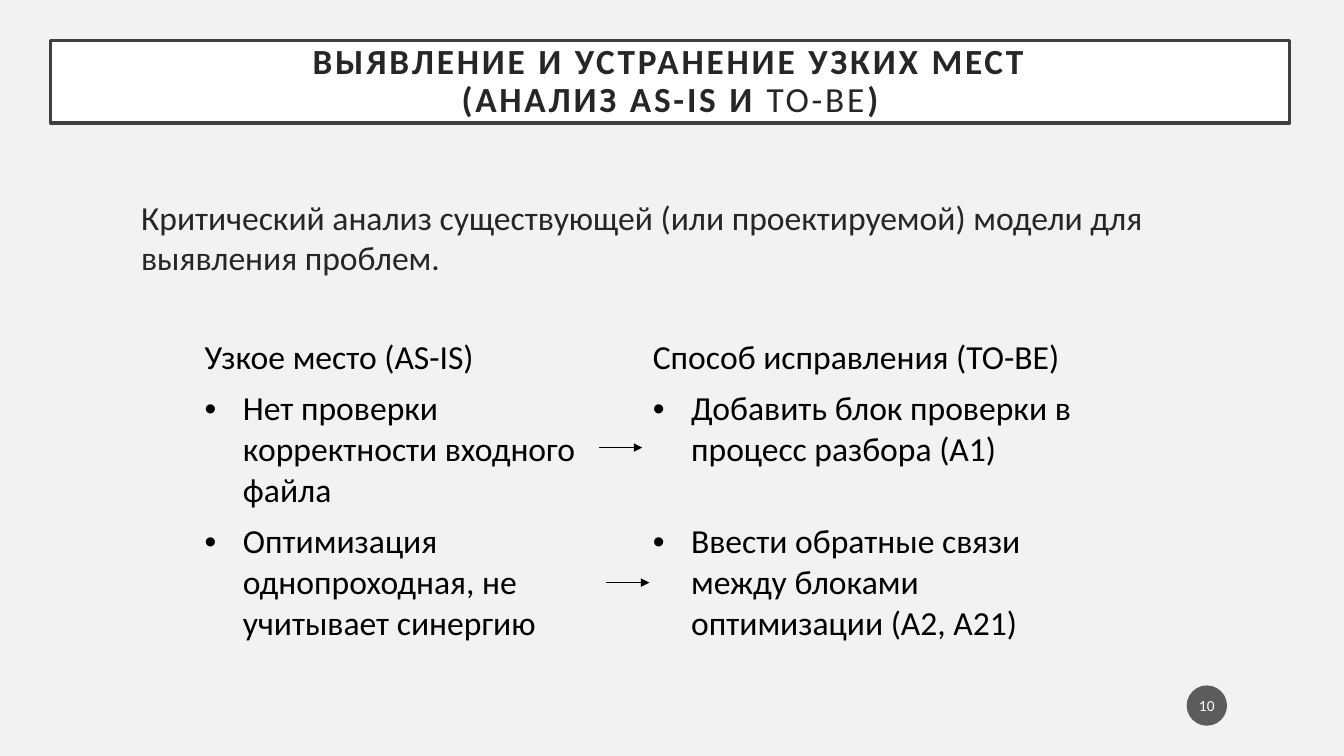
from dataclasses import dataclass

from lxml import etree
from pptx import Presentation
from pptx.dml.color import RGBColor
from pptx.enum.shapes import MSO_CONNECTOR, MSO_SHAPE
from pptx.enum.text import MSO_ANCHOR, MSO_AUTO_SIZE, PP_ALIGN
from pptx.oxml.ns import qn
from pptx.util import Inches, Pt

CENTER, LEFT = PP_ALIGN.CENTER, PP_ALIGN.LEFT
MIDDLE, TOP = MSO_ANCHOR.MIDDLE, MSO_ANCHOR.TOP
NO_AUTOFIT = MSO_AUTO_SIZE.NONE
ELLIPSE, STRAIGHT = MSO_SHAPE.OVAL, MSO_CONNECTOR.STRAIGHT

FONT = "Calibri"
COLORS = {
    "background": "F2F2F2",
    "white": "FFFFFF",
    "frame": "404040",
    "text": "262626",
    "black": "000000",
    "badge": "1D1D1D",
}
PLAIN_TABLE_STYLE = "{2D5ABB26-0587-4C30-8999-92F81FD0307C}"
BULLET_INDENT = 0.38


@dataclass(frozen=True)
class Bottleneck:
    problem: str
    remedy: str
    arrow_left: float
    arrow_top: float


BOTTLENECKS = [
    Bottleneck("Нет проверки корректности входного файла",
               "Добавить блок проверки в процесс разбора (A1)", 5.94, 4.44),
    Bottleneck("Оптимизация однопроходная, не учитывает синергию",
               "Ввести обратные связи между блоками оптимизации (A2, A21)", 6.01, 5.78),
]


def color(name: str) -> RGBColor:
    return RGBColor.from_string(COLORS[name])


def place(box, left: float, top: float, width: float, height: float) -> None:
    box.left, box.top = Inches(left), Inches(top)
    box.width, box.height = Inches(width), Inches(height)


def add_span(para, text: str, *, size: float, fill: str = "black",
             bold: bool = False, spacing: float = 0) -> None:
    """Append formatted text; spacing is the letter spacing in points."""
    span = para.add_run()
    span.text = text
    span.font.name, span.font.size, span.font.bold = FONT, Pt(size), bold
    span.font.color.rgb = color(fill)
    if spacing:
        span.font._element.set("spc", str(round(spacing * 100)))


def set_bullet(para, shown: bool) -> None:
    properties = para._p.get_or_add_pPr()
    indent = Inches(BULLET_INDENT) if shown else 0
    properties.set("marL", str(indent))
    properties.set("indent", str(-indent))
    if shown:
        etree.SubElement(properties, qn("a:buFont"), typeface="Arial")
        etree.SubElement(properties, qn("a:buChar"), char="•")
    else:
        etree.SubElement(properties, qn("a:buNone"))


def add_title(page) -> None:
    title = page.shapes.title
    place(title, 0.5, 0.4, 12.29, 0.82)
    title.fill.solid()
    title.fill.fore_color.rgb = color("white")
    title.line.color.rgb = color("frame")
    title.line.width = Pt(2.5)
    frame = title.text_frame
    frame.word_wrap, frame.auto_size = True, NO_AUTOFIT
    frame.vertical_anchor = MIDDLE
    frame.margin_left = frame.margin_right = Inches(0.2)
    frame.margin_top = frame.margin_bottom = Inches(0.2)
    para = frame.paragraphs[0]
    para.alignment, para.line_spacing = CENTER, 0.9
    style = {"size": 25.2, "fill": "text", "spacing": 2}
    add_span(para, "ВЫЯВЛЕНИЕ И УСТРАНЕНИЕ УЗКИХ МЕСТ", bold=True, **style)
    para.add_line_break()
    add_span(para, "(АНАЛИЗ AS-IS И", bold=True, **style)
    add_span(para, " TO-BE", **style)
    add_span(para, ")", bold=True, **style)


def add_introduction(page) -> None:
    body = page.placeholders[1]
    place(body, 1.3, 1.9, 10.14, 3.42)
    frame = body.text_frame
    frame.word_wrap, frame.auto_size = True, NO_AUTOFIT
    frame.vertical_anchor = TOP
    para = frame.paragraphs[0]
    para.alignment, para.space_before = LEFT, Pt(10)
    set_bullet(para, False)
    add_span(para, "Критический анализ существующей (или проектируемой) модели "
                   "для выявления проблем.", size=24, fill="text")


def add_page_number(page, number: int) -> None:
    badge = page.shapes.add_shape(ELLIPSE, Inches(11.77), Inches(6.8), Inches(0.4), Inches(0.4))
    badge.shadow.inherit = False
    badge.fill.solid()
    badge.fill.fore_color.rgb = color("badge")
    fill_color = badge.element.spPr.find(qn("a:solidFill"))[0]
    etree.SubElement(fill_color, qn("a:alpha"), val="70000")
    badge.line.fill.background()
    frame = badge.text_frame
    frame.vertical_anchor = MIDDLE
    frame.margin_left = frame.margin_right = Inches(0.02)
    para = frame.paragraphs[0]
    para.alignment = CENTER
    add_span(para, str(number), size=11, fill="white")


def add_comparison(page) -> None:
    rows = [("Узкое место (AS-IS)", "Способ исправления (TO-BE)")]
    rows += [(item.problem, item.remedy) for item in BOTTLENECKS]
    holder = page.shapes.add_table(len(rows), 2, Inches(1.93), Inches(3.3),
                                   Inches(8.89), Inches(3.1))
    table = holder.table
    table.first_row = table.horz_banding = False
    next(holder.element.iter(qn("a:tableStyleId"))).text = PLAIN_TABLE_STYLE
    for row_index, texts in enumerate(rows):
        table.rows[row_index].height = Inches(1.3 if row_index else 0.5)
        for column_index, text in enumerate(texts):
            cell = table.cell(row_index, column_index)
            cell.fill.background()
            para = cell.text_frame.paragraphs[0]
            if row_index:
                set_bullet(para, True)
            add_span(para, text, size=24)


def add_arrow(page, left: float, top: float, length: float = 0.43) -> None:
    arrow = page.shapes.add_connector(STRAIGHT, Inches(left), Inches(top),
                                      Inches(left + length), Inches(top))
    arrow.line.color.rgb = color("black")
    arrow.line.width = Pt(0.5)
    properties = arrow.element.spPr
    etree.SubElement(properties.find(qn("a:ln")), qn("a:tailEnd"), type="triangle")
    etree.SubElement(properties, qn("a:effectLst"))


def main() -> None:
    deck = Presentation()
    deck.slide_width, deck.slide_height = Inches(13.33), Inches(7.5)
    page = deck.slides.add_slide(deck.slide_layouts[1])
    page.background.fill.solid()
    page.background.fill.fore_color.rgb = color("background")
    add_title(page)
    add_introduction(page)
    add_page_number(page, 10)
    add_comparison(page)
    for item in BOTTLENECKS:
        add_arrow(page, item.arrow_left, item.arrow_top)
    deck.save("out.pptx")


if __name__ == "__main__":
    main()
